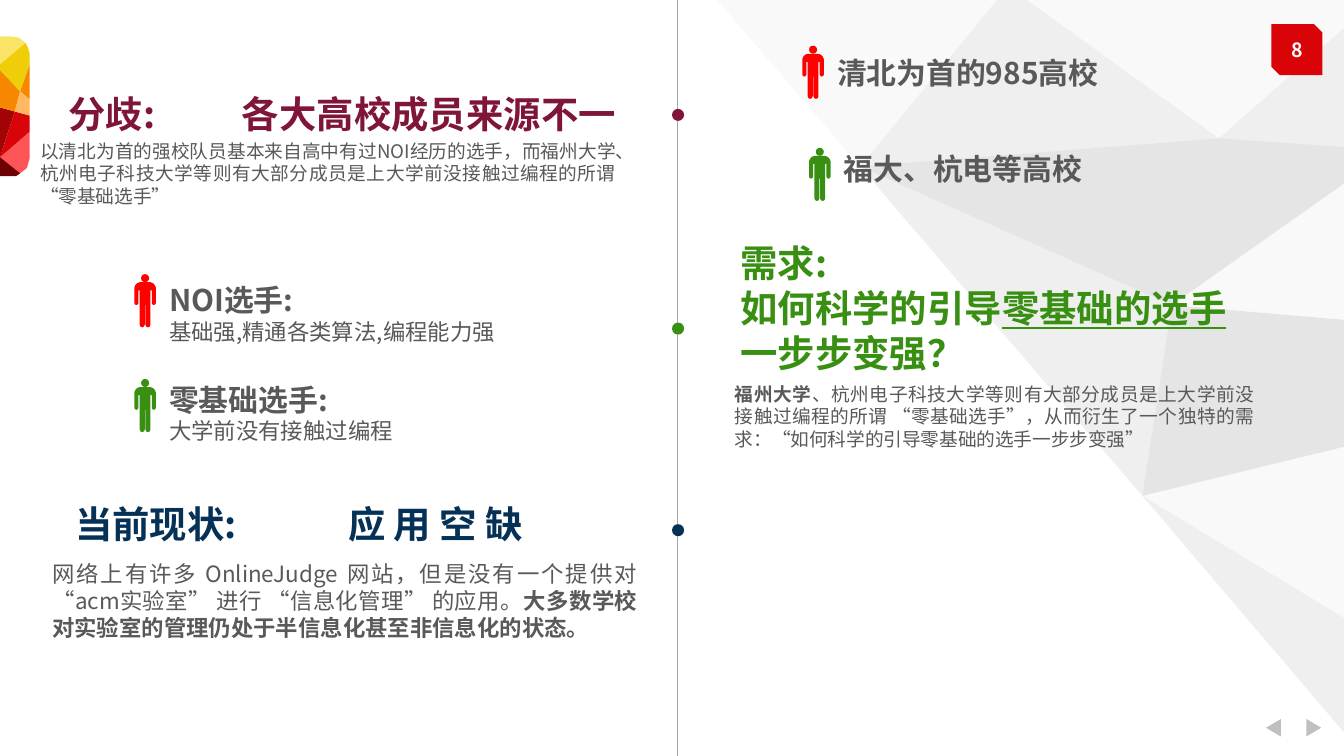
from dataclasses import dataclass

from lxml import etree
from pptx import Presentation
from pptx.dml.color import RGBColor
from pptx.enum.shapes import MSO_CONNECTOR, MSO_SHAPE
from pptx.enum.text import MSO_ANCHOR, MSO_AUTO_SIZE, PP_ALIGN
from pptx.oxml.ns import qn
from pptx.util import Inches, Pt

LINE = MSO_CONNECTOR.STRAIGHT
OVAL = MSO_SHAPE.OVAL
ARROW = MSO_SHAPE.ISOSCELES_TRIANGLE
BADGE = MSO_SHAPE.SNIP_2_DIAG_RECTANGLE
TOP = MSO_ANCHOR.TOP
GROW = MSO_AUTO_SIZE.SHAPE_TO_FIT_TEXT
LEFT, CENTER, FULL = PP_ALIGN.LEFT, PP_ALIGN.CENTER, PP_ALIGN.JUSTIFY


@dataclass(frozen=True)
class Theme:
    font: str = "Noto Sans CJK SC"
    wine: str = "801637"
    green: str = "388F12"
    navy: str = "063157"
    red: str = "FF0000"
    badge: str = "D80407"
    text: str = "595959"
    white: str = "FFFFFF"
    rule: str = "A6A6A6"
    pale: str = "F2F2F2"
    light: str = "D9D9D9"
    grey: str = "BFBFBF"
    head: float = 20
    name: float = 16
    note: float = 12
    small: float = 10
    page: float = 10.5


HALF = [(0, 0), (4, 0), (6, 0.8), (7.4, 2.4), (8, 4), (8, 15.5), (7.6, 16.5),
        (6.5, 17), (5.4, 16.5), (5, 15.5), (5, 6), (4, 6), (4, 31.5),
        (3.5, 33), (2.2, 33.6), (0.8, 33), (0.2, 31.5), (0.2, 17)]
BODY = HALF + [(-x, y) for x, y in reversed(HALF)]


class Deck:
    def __init__(self, theme):
        self.theme = theme
        self.file = Presentation()
        self.file.slide_width = Inches(10)
        self.file.slide_height = Inches(10) * 9 // 16
        self.slide = self.file.slides.add_slide(self.file.slide_layouts[5])
        self.shapes = self.slide.shapes

    def paint(self, shape, color, alpha=None):
        shape.shadow.inherit = False
        shape.fill.solid()
        shape.fill.fore_color.rgb = RGBColor.from_string(color)
        shape.line.fill.background()
        if alpha:
            tone = shape.element.spPr.find(".//" + qn("a:srgbClr"))
            etree.SubElement(tone, qn("a:alpha")).set("val", str(alpha * 1000))

    def shape(self, kind, x, y, w, h, color, turn=0):
        shape = self.shapes.add_shape(kind, Inches(x), Inches(y), Inches(w), Inches(h))
        shape.rotation = turn
        self.paint(shape, color)

    def facet(self, points, color, alpha=None):
        spots = [(Inches(x), Inches(y)) for x, y in points]
        pen = self.shapes.build_freeform(*spots[0])
        pen.add_line_segments(spots[1:], close=True)
        self.paint(pen.convert_to_shape(), color, alpha)

    def line(self, x, start, end):
        line = self.shapes.add_connector(LINE, Inches(x), Inches(start), Inches(x), Inches(end))
        line.line.color.rgb = RGBColor.from_string(self.theme.rule)
        line.line.width = Pt(0.75)
        etree.SubElement(line.element.spPr, qn("a:effectLst"))

    def style(self, font, size, color, bold):
        font.size = Pt(size)
        font.bold = bold
        font.color.rgb = RGBColor.from_string(color)
        font.name = self.theme.font
        latin = font._element.find(qn("a:latin"))
        east = etree.Element(qn("a:ea"), typeface=self.theme.font)
        latin.addnext(east)

    def text(self, x, y, w, h, rows, color, align=LEFT, wrap=True, box=None, pad=0.1, tab=None):
        """rows: (size, bold, runs), where a run is a string or (string, trait)."""
        box = box or self.shapes.add_textbox(0, 0, 0, 0)
        box.left, box.top, box.width, box.height = map(Inches, (x, y, w, h))
        frame = box.text_frame
        frame.word_wrap = wrap
        frame.auto_size = GROW
        frame.vertical_anchor = TOP
        frame.margin_left = Inches(pad)
        if tab:
            frame.margin_right = 0
        for i, (size, bold, *runs) in enumerate(rows):
            para = frame.add_paragraph() if i else frame.paragraphs[0]
            para.alignment = align
            if tab:
                stops = etree.SubElement(para._p.get_or_add_pPr(), qn("a:tabLst"))
                etree.SubElement(stops, qn("a:tab"), pos=str(Inches(tab)), algn="l")
            self.style(para.font, size, color, bold)
            for part in runs:
                words, trait = part if isinstance(part, tuple) else (part, None)
                run = para.add_run()
                run.text = words
                if trait:
                    setattr(run.font, trait, True)

    def person(self, x, y, color, w, h, rows, drop):
        self.shape(OVAL, x + 0.05, y, 0.06, 0.06, color)
        self.facet([(x + 0.08 + a / 100, y + 0.06 + b / 100) for a, b in BODY], color)
        self.text(x + 0.16, y + drop, w, h, rows, self.theme.text)


def main():
    t = Theme()
    deck = Deck(t)

    a, b, c, d = (6.4, 1.24), (9.07, 1.03), (8.72, 2.27), (8.5, 3.69)
    peak, edge = (7.5, -0.1), 10.35
    for color, *points in [
        (t.pale, b, peak, (edge, -0.1)),
        (t.light, b, (edge, -0.1), (edge, 1.12)),
        (t.light, peak, b, a),
        (t.grey, a, b, (edge, 1.12), c),
        (t.light, a, c, d),
        (t.pale, c, (edge, 1.12), (edge, 2.41)),
        (t.grey, c, (edge, 2.41), (edge, 3.24), d),
        (t.pale, d, (edge, 3.24), (edge, 4.81)),
        (t.light, d, (edge, 4.81), (edge, 5.86)),
        (t.pale, peak, a, (5.25, -0.1)),
    ]:
        deck.facet(points, color, 40)

    for x, turn in [(9.71, 90), (9.41, 270)]:
        deck.shape(ARROW, x, 5.36, 0.13, 0.11, t.grey, turn)
    deck.shape(BADGE, 9.46, 0.18, 0.38, 0.38, t.badge)
    deck.text(9.46, 0.23, 0.38, 0.28, [(t.page, True, "8")], t.white, CENTER, wrap=False)

    deck.text(0.04, 0.63, 4.64, 0.44, [(t.head, True, "分歧:\t各大高校成员来源不一")],
              t.wine, box=deck.shapes.title, pad=0.47, tab=1.29)
    deck.text(0.2, 0.99, 4.48, 0.6, [(t.small, False,
              "以清北为首的强校队员基本来自高中有过NOI经历的选手，而福州大学、杭州电子科技大学等"
              "则有大部分成员是上大学前没接触过编程的所谓 “零基础选手”")], t.text, FULL)
    deck.text(5.41, 1.74, 3.86, 1.11, [
        (t.head, True, "需求:"),
        (t.head, True, "如何科学的引导", ("零基础的选手", "underline"), "一步步变强？"),
    ], t.green)
    deck.text(5.37, 2.8, 4.06, 0.6, [(t.small, False, ("福州大学", "bold"),
              "、杭州电子科技大学等则有大部分成员是上大学前没接触过编程的所谓 “零基础选手”，"
              "从而衍生了一个独特的需求：“如何科学的引导零基础的选手一步步变强”")], t.text, FULL)
    deck.text(-0.26, 3.68, 4.26, 0.44, [(t.head, True, "当前现状:\t应 用 空 缺")],
              t.navy, pad=0.82, tab=2.03)
    deck.text(0.29, 4.12, 4.55, 0.71, [(t.note, False,
              "网络上有许多 OnlineJudge 网站，但是没有一个提供对 “acm实验室” 进行 “信息化管理” 的应用。",
              ("大多数学校对实验室的管理仍处于半信息化甚至非信息化的状态。", "bold"))], t.text, FULL)

    dots = [(0.81, t.wine), (2.4, t.green), (3.9, t.navy)]
    starts = [-0.42] + [y + 0.09 for y, _ in dots]
    ends = [y for y, _ in dots] + [5.7]
    for start, end in zip(starts, ends):
        deck.line(5.04, start, end)
    for y, color in dots:
        deck.shape(OVAL, 5, y, 0.09, 0.09, color)

    deck.person(1, 2.04, t.red, 2.93, 0.57, [
        (t.name, True, "NOI选手:"), (t.note, False, "基础强,精通各类算法,编程能力强")], 0.01)
    deck.person(1, 2.82, t.green, 2.21, 0.57, [
        (t.name, True, "零基础选手:"), (t.note, False, "大学前没有接触过编程")], -0.03)
    deck.person(5.97, 0.34, t.red, 2.93, 0.37, [(t.name, True, "清北为首的985高校")], 0.02)
    deck.person(6.02, 1.1, t.green, 2.21, 0.37, [(t.name, True, "福大、杭电等高校")], -0.03)

    low, mid, hub, side = (0, 1.17), (0.11, 0.83), (0.15, 0.68), 0.22
    for color, *points in [
        ("FC5457", (side, 0.98), low, (0.15, 1.29), (0.2, 1.25), (side, 1.18)),
        ("A20305", mid, (0, 0.8), low),
        (t.badge, mid, low, (side, 0.98), (side, 0.86)),
        ("6C0204", (0.15, 1.29), low, (0, 1.31), (0.08, 1.31), (0.12, 1.31)),
        ("F9E468", (0, 0.48), (0.19, 0.32), (0.14, 0.28), (0.08, 0.27), (0, 0.27)),
        ("F88700", (side, 0.48), hub, (side, 0.74)),
        ("F88700", mid, hub, (0, 0.52), (0, 0.8)),
        ("EFCD09", (0, 0.52), hub, (side, 0.48), (side, 0.4), (0.21, 0.36), (0.19, 0.32), (0, 0.48)),
        ("FFB762", (side, 0.74), hub, mid, (side, 0.86)),
    ]:
        deck.facet(points, color)

    deck.file.save("out.pptx")


if __name__ == "__main__":
    main()
